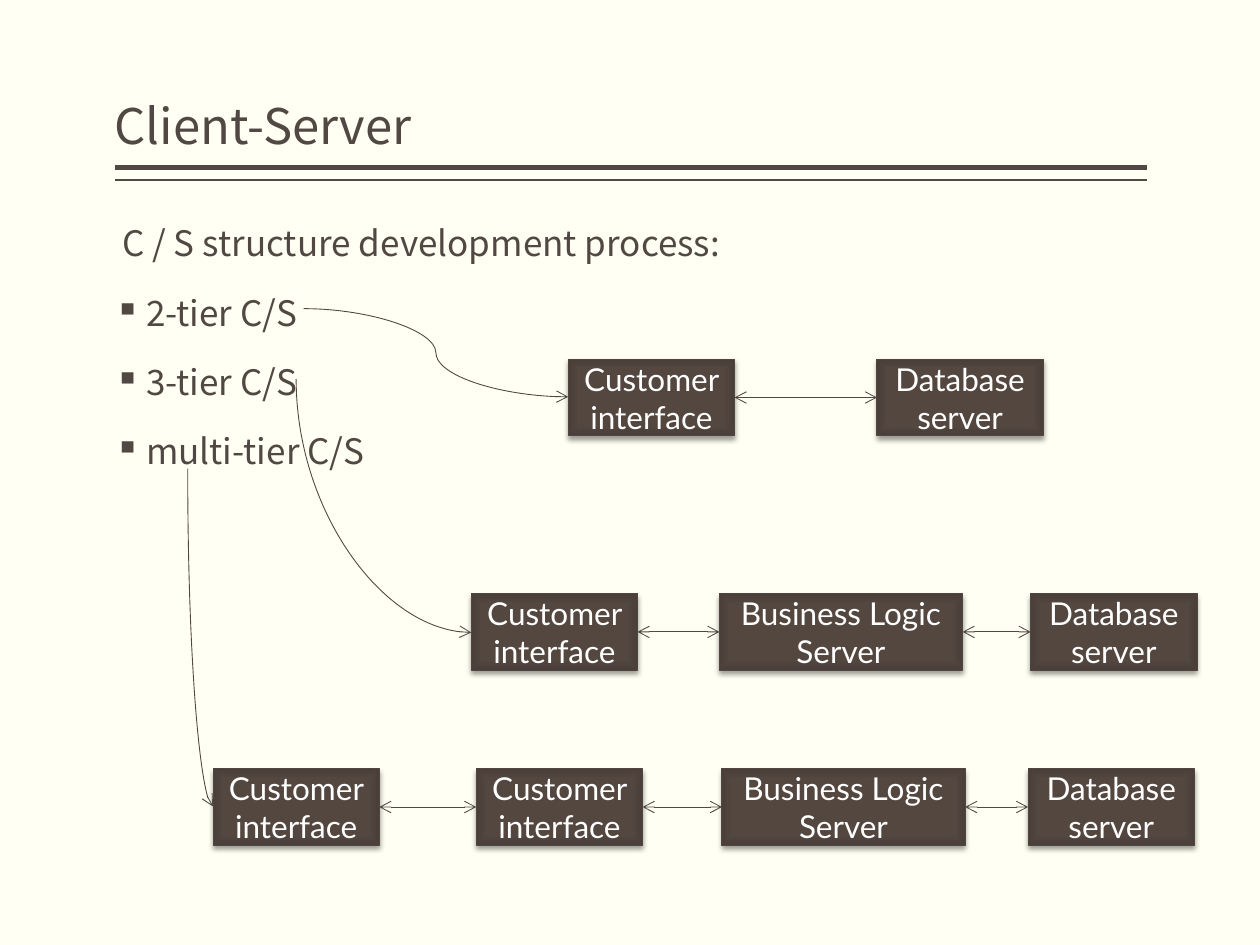
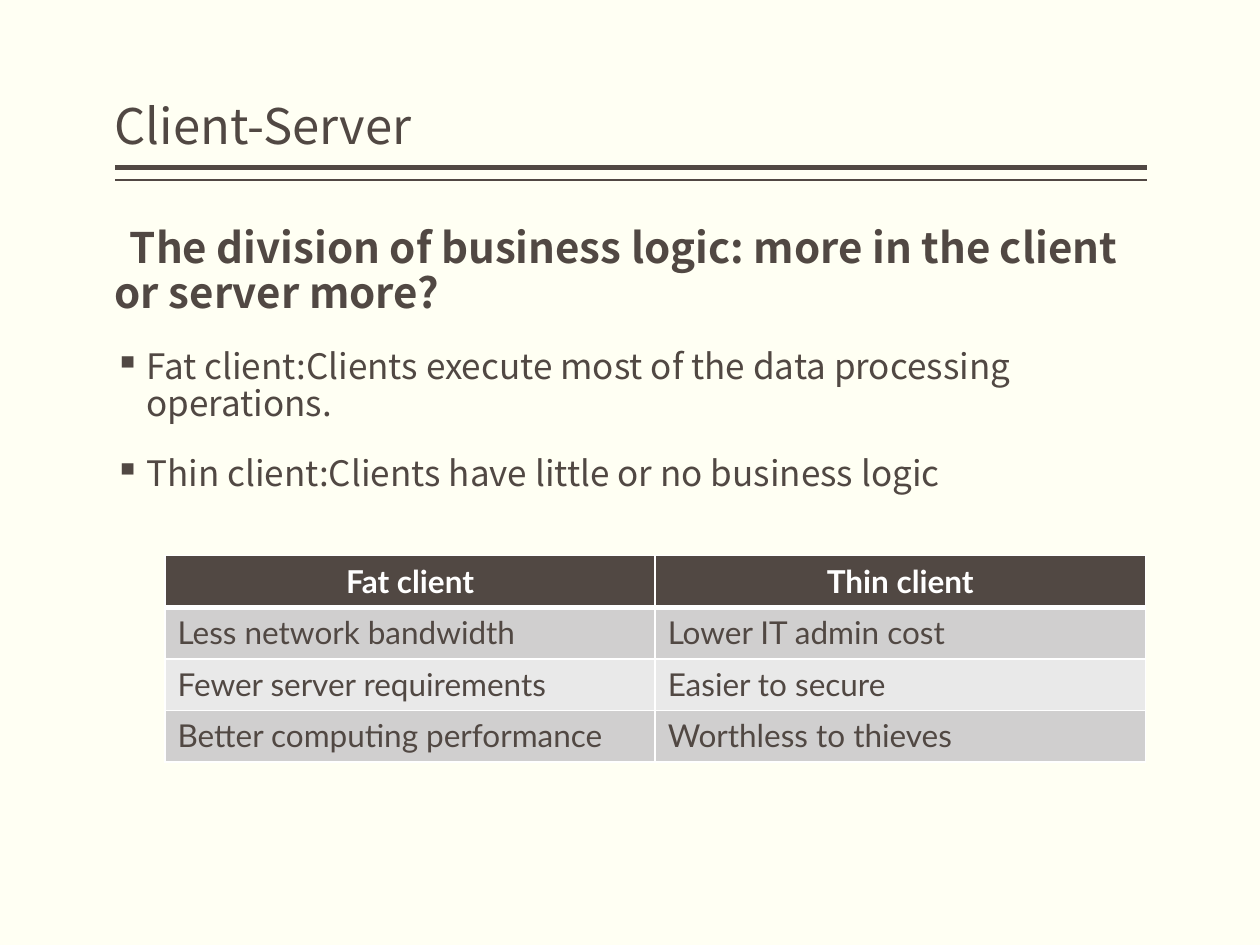
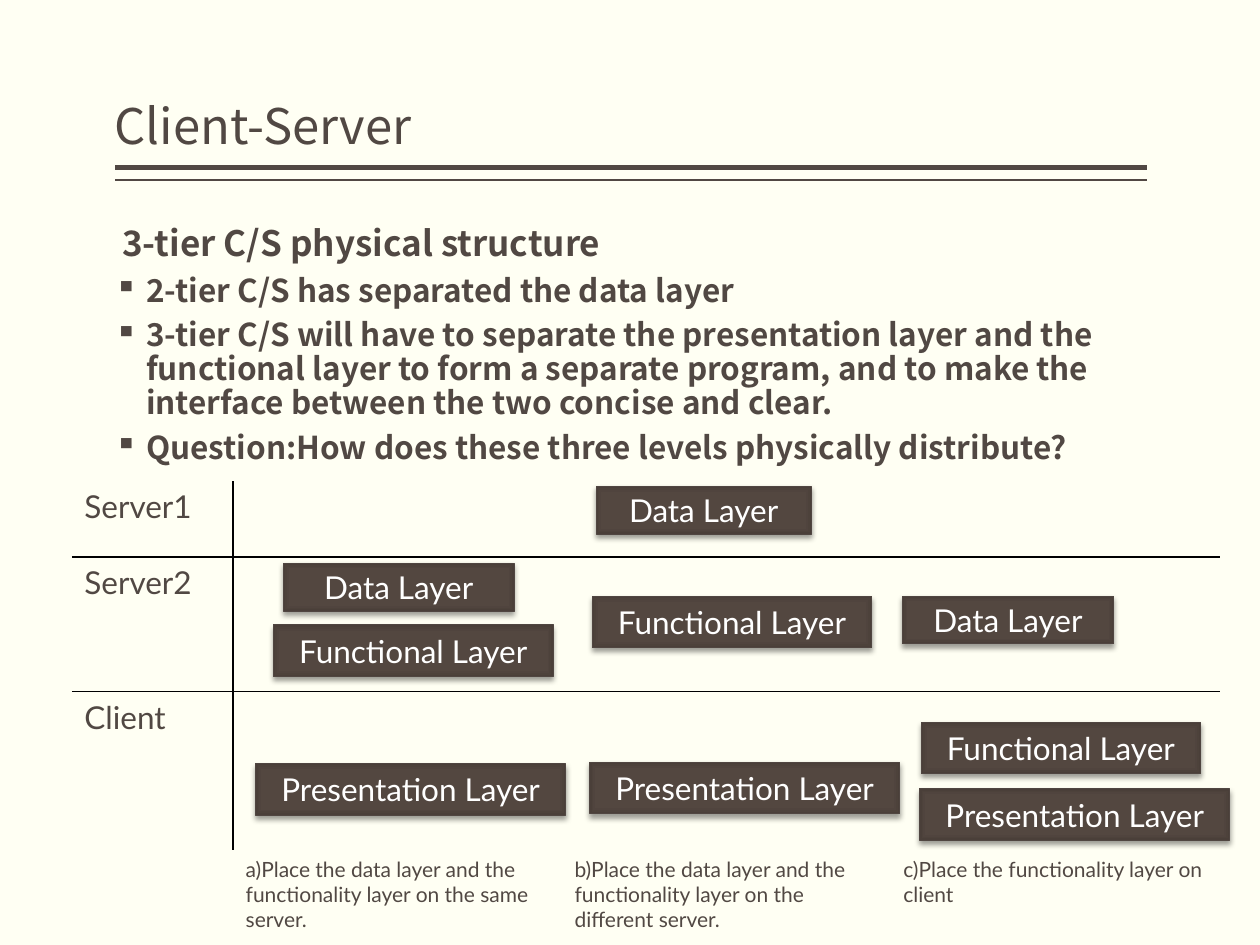
"""Build three slides on client-server tiers, client types and layer placement."""
from dataclasses import dataclass
from itertools import pairwise

from pptx import Presentation
from pptx import util as u
from pptx.dml.color import RGBColor
from pptx.enum import shapes, text
from pptx.oxml import parse_xml
from pptx.oxml.ns import nsdecls, qn


@dataclass(frozen=True)
class Theme:
    paper: str = "FFFFF3"
    ink: str = "514843"
    edge: str = "504641"
    white: str = "FFFFFF"
    grid: str = "000000"
    bands: tuple = ("D0CFCF", "E9E9E9")
    block_stops: tuple = ((0, "544740"), (71, "534740"), (100, "4A3F39"))
    heading_font: str = "Noto Sans CJK SC"
    label_font: str = "Lato"
    title: int = 28
    lead: int = 24
    body: int = 20
    label: int = 18
    caption: int = 12


theme = Theme()
NS = nsdecls("a")
NO_STYLE = "{2D5ABB26-0587-4C30-8999-92F81FD0307C}"


def write(frame, words, size=theme.label, font=theme.label_font, color=theme.ink, bold=False,
          align=None, spacing=None, before=0, indent=0, bullet=None):
    paragraph = frame.add_paragraph() if frame.text else frame.paragraphs[0]
    frame.word_wrap = True
    paragraph.alignment = align
    paragraph.line_spacing = spacing
    paragraph.space_before = u.Pt(before)
    properties = paragraph._p.get_or_add_pPr()
    properties.set("indent", str(u.Inches(indent)))
    if bullet:
        properties.set("marL", str(u.Inches(-indent)))
        properties.append(parse_xml(f'<a:buChar {NS} char="{bullet}"/>'))
    run = paragraph.add_run()
    run.text = words
    run.font.size, run.font.name, run.font.bold = u.Pt(size), font, bold
    run.font.color.rgb = RGBColor.from_string(color)


def connect(slide, begin, end, kind=shapes.MSO_CONNECTOR.STRAIGHT, weight=0.5, ends=()):
    link = slide.shapes.add_connector(kind, *(u.Inches(value) for value in (*begin, *end)))
    link.line.width = u.Pt(weight)
    link.line.color.rgb = RGBColor.from_string(theme.ink)
    for tip in ends:
        link.line._ln.append(parse_xml(f'<a:{tip} {NS} type="arrow"/>'))
    link.element.spPr.append(parse_xml(f"<a:effectLst {NS}/>"))
    return link


deck = Presentation()
deck.slide_width, deck.slide_height = u.Inches(10), u.Inches(7.5)

topics = [
    (dict(words="C / S structure development process:", indent=0.06),
     dict(size=theme.body, before=18),
     ["2-tier C/S", "3-tier C/S", "multi-tier C/S"], 8.71, 3.47),
    (dict(words="The division of business logic: more in the client or server more?",
          size=theme.lead, bold=True, indent=0.12),
     dict(size=theme.body, before=18),
     ["Fat client:Clients execute most of the data processing operations.",
      "Thin client:Clients have little or no business logic"], 8.19, 2.42),
    (dict(words="3-tier C/S physical structure", bold=True, indent=0.06),
     dict(size=theme.label, before=6, bold=True),
     ["2-tier C/S has separated the data layer",
      "3-tier C/S will have to separate the presentation layer and the functional layer to form "
      "a separate program, and to make the interface between the two concise and clear.",
      "Question:How does these three levels physically distribute?"], 8.67, 2.05),
]
prose = dict(font=theme.heading_font, spacing=0.9)
for lead, point_format, points, body_width, body_height in topics:
    slide = deck.slides.add_slide(deck.slide_layouts[6])
    slide.background.fill.solid()
    slide.background.fill.fore_color.rgb = RGBColor.from_string(theme.paper)
    for rule_top, weight in ((1.33, 3), (1.43, 1)):
        connect(slide, (9.1, rule_top), (0.91, rule_top), weight=weight)
    frames = []
    for top, width, height in ((0.08, 8.19, 1.2), (1.75, body_width, body_height)):
        frame = slide.shapes.add_textbox(
            u.Inches(0.91), u.Inches(top), u.Inches(width), u.Inches(height)).text_frame
        frame.margin_left = frame.margin_right = 0
        frames.append(frame)
    heading, body = frames
    heading.vertical_anchor = text.MSO_ANCHOR.BOTTOM
    write(heading, "Client-Server", size=theme.title, **prose)
    write(body, **{"size": theme.body, **prose, **lead})
    for point in points:
        write(body, point, indent=-0.25, bullet="▪", **prose, **point_format)
tier_slide, client_slide, layer_slide = deck.slides

comparison = [
    ("Fat client", "Thin client"),
    ("Less network bandwidth", "Lower IT admin cost"),
    ("Fewer server requirements", "Easier to secure"),
    ("Better computing performance", "Worthless to thieves"),
]
placement = [
    ("Server1", "", "", ""),
    ("Server2", "", "", ""),
    ("Client", "", "", ""),
    ("", "a)Place the data layer and the functionality layer on the same server.",
     "b)Place the data layer and the functionality layer on the different server.",
     "c)Place the functionality layer on client"),
]
tables = [
    (client_slide, comparison, 1.31, 4.41, (3.89, 3.89), (0.41,) * 4),
    (layer_slide, placement, 0.57, 3.82, (1.28, 2.61, 2.61, 2.61), (0.6, 1.07, 1.26, 0.6)),
]
for slide, rows, left, top, widths, heights in tables:
    frame = slide.shapes.add_table(len(rows), len(widths), u.Inches(left), u.Inches(top),
                                   u.Inches(sum(widths)), u.Inches(sum(heights)))
    table = frame.table
    table.first_row = table.horz_banding = False
    table._tbl.tblPr.find(qn("a:tableStyleId")).text = NO_STYLE
    for column, width in zip(table.columns, widths):
        column.width = u.Inches(width)
    for r, (row, height) in enumerate(zip(rows, heights)):
        table.rows[r].height = u.Inches(height)
        for c, words in enumerate(row):
            cell = table.cell(r, c)
            if slide is client_slide:
                borders = {"L": 1, "R": 1, "T": 3 if r == 1 else 1, "B": 3 if r == 0 else 1}
                border_color = theme.white
                fill = theme.bands[(r - 1) % 2] if r else theme.ink
                style = {} if r else dict(color=theme.white, bold=True, align=text.PP_ALIGN.CENTER)
            else:
                borders = {"L": c == 1 and r < 3, "R": c == 0 and r < 3,
                           "T": 0 < r < 3, "B": r < 2}
                border_color = theme.grid
                fill = None
                style = dict(size=theme.caption) if r == 3 else {}
            properties = cell._tc.get_or_add_tcPr()
            for side, weight in borders.items():
                paint = (f'<a:solidFill><a:srgbClr val="{border_color}"/></a:solidFill>'
                         if weight else "<a:noFill/>")
                properties.append(parse_xml(
                    f'<a:ln{side} {NS} w="{u.Pt(int(weight))}">{paint}</a:ln{side}>'))
            if fill:
                cell.fill.solid()
                cell.fill.fore_color.rgb = RGBColor.from_string(fill)
            else:
                cell.fill.background()
            if words:
                write(cell.text_frame, words, **style)
    if slide is layer_slide:
        for r in range(3):
            table.cell(r, 1).merge(table.cell(r, 3))

customer, logic, database = "Customer interface", "Business Logic Server", "Database server"
tiers = [
    (2.85, [(customer, 4.51), (database, 6.96)]),
    (4.71, [(customer, 3.74), (logic, 5.71), (database, 8.18)]),
    (6.1, [(customer, 1.69), (customer, 3.78), (logic, 5.73), (database, 8.16)]),
]
blocks = [(tier_slide, tier, label, left, top, 1.93 if label == logic else 1.32, 0.61)
          for tier, (top, parts) in enumerate(tiers) for label, left in parts]
layers = [
    ("Data Layer", 0.38, [(4.73, 3.86, 1.71), (2.25, 4.47, 1.83), (7.16, 4.73, 1.68)]),
    ("Functional Layer", 0.41, [(2.17, 4.96, 2.22), (4.7, 4.73, 2.22), (7.31, 5.73, 2.22)]),
    ("Presentation Layer", 0.41, [(2.03, 6.06, 2.46), (4.68, 6.05, 2.46), (7.3, 6.26, 2.46)]),
]
blocks += [(layer_slide, None, label, left, top, width, height)
           for label, height, spots in layers for left, top, width in spots]

stops = "".join(f'<a:gs pos="{share * 1000}"><a:srgbClr val="{color}"/></a:gs>'
                for share, color in theme.block_stops)
placed = []
for slide, tier, label, left, top, width, height in blocks:
    block = slide.shapes.add_shape(shapes.MSO_SHAPE.RECTANGLE, u.Inches(left), u.Inches(top),
                                   u.Inches(width), u.Inches(height))
    block.fill.background()
    look = block.element.spPr
    look.replace(look.find(qn("a:noFill")), parse_xml(
        f'<a:gradFill {NS} rotWithShape="1"><a:gsLst>{stops}</a:gsLst><a:path path="rect">'
        '<a:fillToRect l="50000" t="50000" r="50000" b="50000"/></a:path></a:gradFill>'))
    block.line.color.rgb = RGBColor.from_string(theme.edge)
    block.line.width = u.Pt(0.5)
    block.shadow.inherit = False
    look.find(qn("a:effectLst")).append(parse_xml(
        f'<a:outerShdw {NS} blurRad="{u.Pt(3.1)}" dist="{u.Pt(2)}" dir="5400000" rotWithShape="0">'
        f'<a:srgbClr val="{theme.grid}"><a:alpha val="38000"/></a:srgbClr></a:outerShdw>'))
    block.text_frame.vertical_anchor = text.MSO_ANCHOR.MIDDLE
    write(block.text_frame, label, color=theme.white, align=text.PP_ALIGN.CENTER)
    placed.append((tier, block))

for (tier, near), (next_tier, far) in pairwise(placed):
    if tier is not None and tier == next_tier:
        exchange = connect(tier_slide, (0, 0), (1, 1), ends=("headEnd", "tailEnd"))
        exchange.begin_connect(near, 3)
        exchange.end_connect(far, 1)

curve = dict(kind=shapes.MSO_CONNECTOR.CURVE, ends=("tailEnd",))
connect(tier_slide, (2.41, 2.45), (4.51, 3.15), **curve)
for (x1, y1), (x2, y2) in (((2.35, 3.01), (3.74, 5.02)), ((1.49, 3.72), (1.69, 6.4))):
    mid_x, mid_y, half_run, half_drop = (x1 + x2) / 2, (y1 + y2) / 2, (x2 - x1) / 2, (y2 - y1) / 2
    descent = connect(tier_slide, (mid_x - half_drop, mid_y - half_run),
                      (mid_x + half_drop, mid_y + half_run), **curve)
    look = descent.element.spPr
    look.find(qn("a:prstGeom")).set("prst", "curvedConnector2")
    look.xfrm.set("rot", "16200000")
    look.xfrm.set("flipH", "1")

deck.save("out.pptx")
